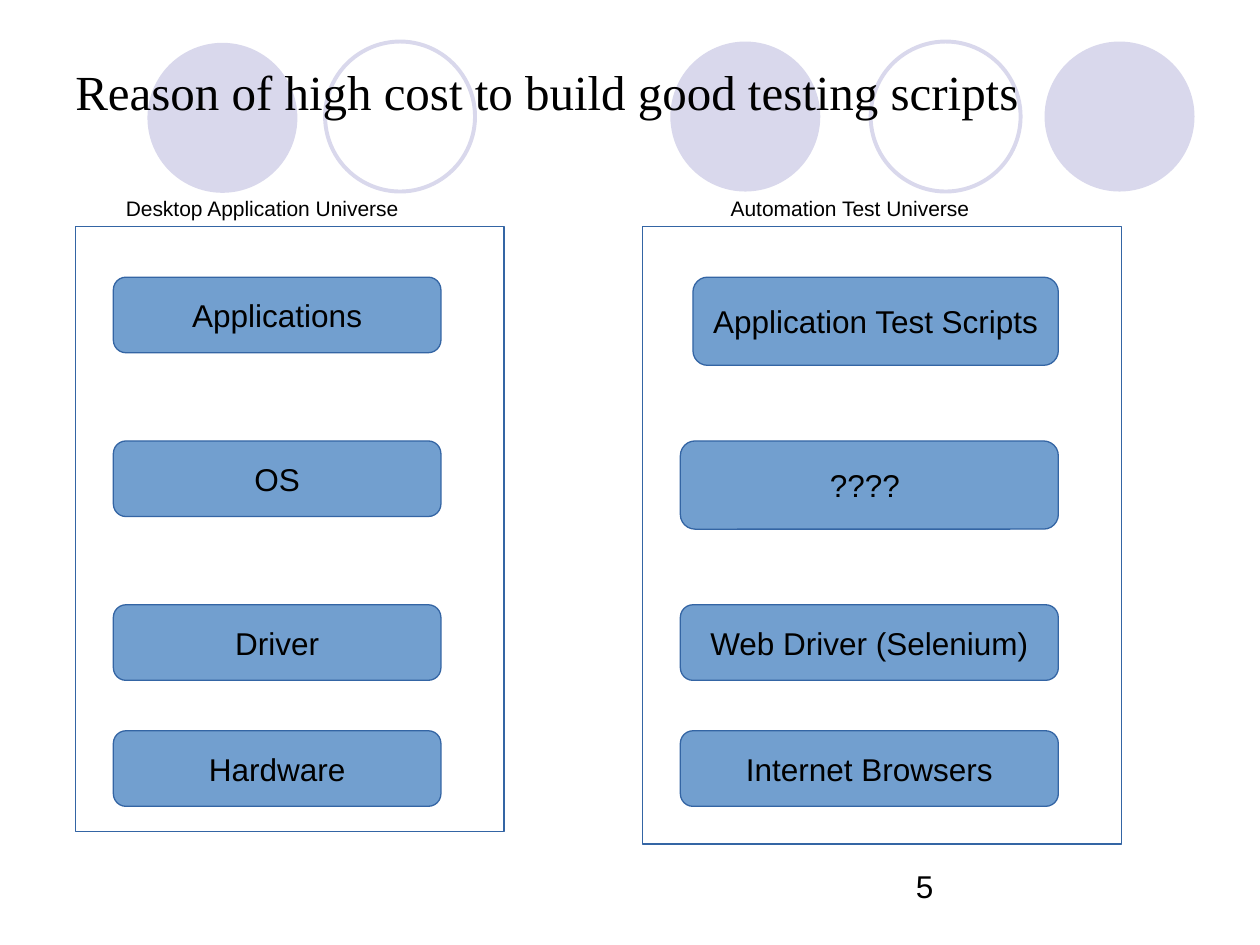
"""Build the slide that compares the desktop and automation test universes."""
from pptx import Presentation
from pptx.dml.color import RGBColor
from pptx.enum.shapes import MSO_SHAPE
from pptx.enum.text import MSO_ANCHOR, PP_ALIGN
from pptx.util import Inches, Pt

OVAL, RECTANGLE, ROUNDED = MSO_SHAPE.OVAL, MSO_SHAPE.RECTANGLE, MSO_SHAPE.ROUNDED_RECTANGLE
TOP, MIDDLE = MSO_ANCHOR.TOP, MSO_ANCHOR.MIDDLE
LEFT, CENTER = PP_ALIGN.LEFT, PP_ALIGN.CENTER

COLORS = {"lavender": "D9D8EC", "blue": "729FCF", "outline": "3465A4", "text": "000000"}

CIRCLE_SIZE = 1.19
CIRCLES = [
    (5.32, 0.33, True),
    (8.29, 0.33, True),
    (1.17, 0.34, True),
    (6.91, 0.33, False),
    (2.58, 0.33, False),
]

LAYER_TOPS = [2.2, 3.5, 4.8, 5.8]
UNIVERSES = [
    {
        "caption": ("Desktop Application Universe", 0.9),
        "frame": (0.6, 1.8, 3.4, 4.8),
        "right": 3.5,
        "layers": [
            ("Applications", 2.6, 0.6),
            ("OS", 2.6, 0.6),
            ("Driver", 2.6, 0.6),
            ("Hardware", 2.6, 0.6),
        ],
    },
    {
        "caption": ("Automation Test Universe", 5.7),
        "frame": (5.1, 1.8, 3.8, 4.9),
        "right": 8.4,
        "layers": [
            ("Application Test Scripts", 2.9, 0.7),
            ("???? ", 3, 0.7),
            ("Web Driver (Selenium)", 3, 0.6),
            ("Internet Browsers", 3, 0.6),
        ],
    },
]

TEXT_BOXES = [
    ("Reason of high cost to build good testing scripts", (0.5, 0.1, 9, 1.25),
     {"size": 28, "font": "Times New Roman", "anchor": MIDDLE}),
    ("5", (7.17, 6.83, 2.31, 0.48), {"size": 18}),
]


def color(name):
    return RGBColor.from_string(COLORS[name])


def write(shape, text, size=18, font="Arial", anchor=TOP, align=LEFT, wrap=True):
    frame = shape.text_frame
    frame.word_wrap = wrap
    frame.vertical_anchor = anchor
    paragraph = frame.paragraphs[0]
    paragraph.text = text
    paragraph.alignment = align
    for name, value in {"size": Pt(size), "name": font}.items():
        setattr(paragraph.font, name, value)
    paragraph.font.color.rgb = color("text")


def add_shape(slide, kind, box, fill=None, line=None, width=0.75):
    shape = slide.shapes.add_shape(kind, *map(Inches, box))
    shape.shadow.inherit = False
    if fill:
        shape.fill.solid()
        shape.fill.fore_color.rgb = color(fill)
    else:
        shape.fill.background()
    if line:
        shape.line.color.rgb = color(line)
        shape.line.width = Pt(width)
    else:
        shape.line.fill.background()
    return shape


def add_text(slide, text, box, **formats):
    write(slide.shapes.add_textbox(*map(Inches, box)), text, **formats)


def add_universe(slide, universe):
    for top, (text, width, height) in zip(LAYER_TOPS, universe["layers"]):
        box = (universe["right"] - width, top, width, height)
        layer = add_shape(slide, ROUNDED, box, "blue", "outline")
        write(layer, text, anchor=MIDDLE, align=CENTER, wrap=False)
    add_shape(slide, RECTANGLE, universe["frame"], line="outline")
    caption, left = universe["caption"]
    add_text(slide, caption, (left, 1.5, 2.6, 0.3), size=12)


def main():
    presentation = Presentation()
    presentation.slide_width, presentation.slide_height = Inches(10), Inches(7.5)
    slide = presentation.slides.add_slide(presentation.slide_layouts[6])
    for left, top, filled in CIRCLES:
        style = {"fill": "lavender"} if filled else {"line": "lavender", "width": 2.25}
        add_shape(slide, OVAL, (left, top, CIRCLE_SIZE, CIRCLE_SIZE), **style)
    for text, box, formats in TEXT_BOXES:
        add_text(slide, text, box, **formats)
    for universe in UNIVERSES:
        add_universe(slide, universe)
    presentation.save("out.pptx")


if __name__ == "__main__":
    main()
